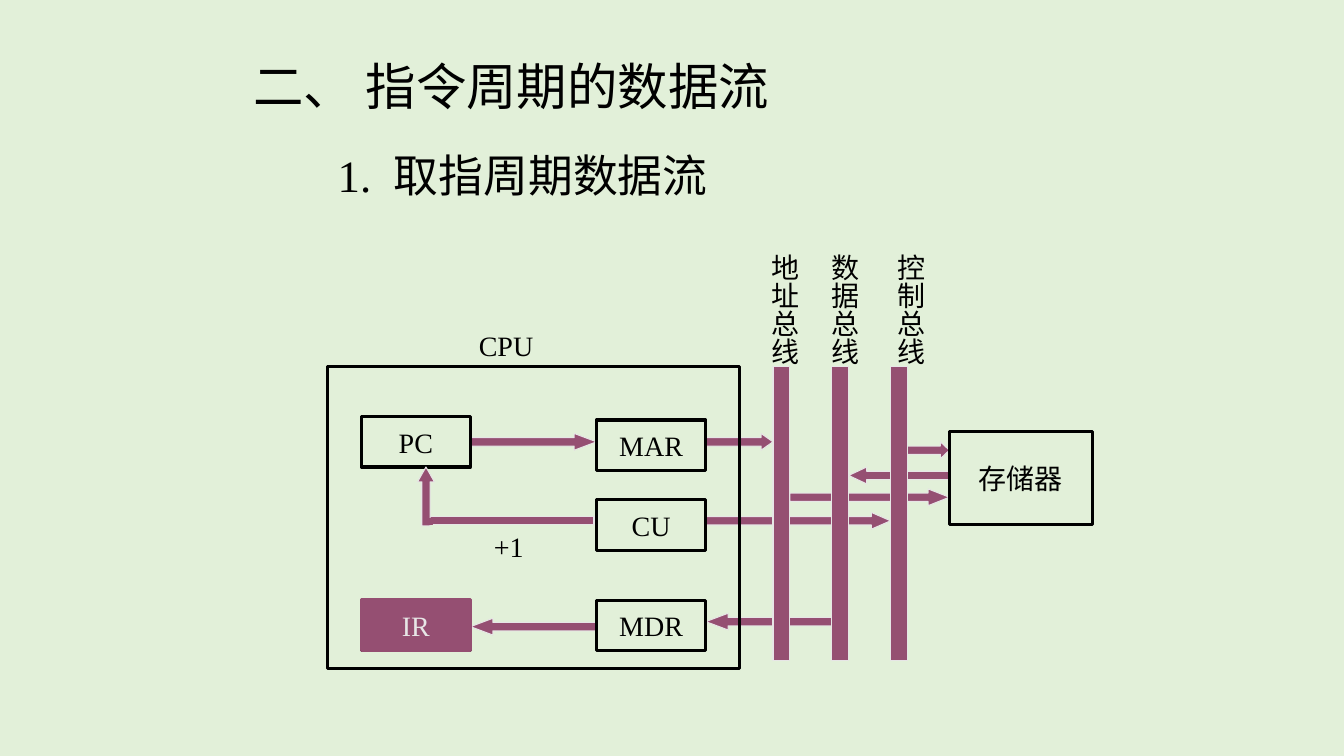
"""Builds the slide on the data flow of the fetch cycle, on a grid of 160 by 90 units."""
from pptx import Presentation
from pptx import util as u
from pptx.dml.color import RGBColor
from pptx.enum import shapes, text

HUES = {"back": "E2F0D9", "plum": "954F72", "pale": "E7E6E6", "ink": "000000"}
KIND = shapes.MSO_SHAPE

deck = Presentation()
deck.slide_width, deck.slide_height = u.Inches(13.33), u.Inches(7.5)
UNIT = deck.slide_height / 90
page = deck.slides.add_slide(deck.slide_layouts[6])
page.background.fill.solid()
page.background.fill.fore_color.rgb = RGBColor.from_string(HUES["back"])


def draw(kind, spot, fill, edge, width):
    shape = page.shapes.add_shape(kind, *(round(n * UNIT) for n in spot))
    shape.shadow.inherit = False
    if fill:
        shape.fill.solid()
        shape.fill.fore_color.rgb = RGBColor.from_string(HUES[fill])
    else:
        shape.fill.background()
    shape.line.color.rgb = RGBColor.from_string(HUES[edge])
    shape.line.width = u.Pt(width)
    return shape


def write(shape, words, size=20, hue="ink"):
    frame = shape.text_frame
    frame.text = words
    frame.word_wrap = False
    font = frame.paragraphs[0].runs[0].font
    font.name, font.size = "Times New Roman", u.Pt(size)
    font.color.rgb = RGBColor.from_string(HUES[hue])
    return frame


flows = [
    (56, 73.6, 15, 1.33, 180),
    (56, 51.6, 15, 1.33, 0),
    (84, 51.6, 8, 0.71, 0),
    (84, 73, 15, 1.33, 180),
    (84, 61, 22, 1.15, 0),
    (94, 58.2, 19, 1.27, 0),
    (101, 55.6, 12, 1.07, 180),
    (107, 52.6, 6, 0.53, 0),
]
for left, top, width, head, turn in flows:
    arrow = draw(KIND.RIGHT_ARROW, (left, top, width, 2), "plum", "pale", 0.75)
    arrow.adjustments[1] = head
    arrow.rotation = turn

boxes = [
    ("", (39, 43.6, 49, 36), None, "ink"),
    ("PC", (43, 49.6, 13, 6), None, "ink"),
    ("MAR", (71, 50, 13, 6), None, "ink"),
    ("CU", (71, 59.5, 13, 6), None, "ink"),
    ("MDR", (71, 71.5, 13, 6), None, "ink"),
    ("", (43, 71.5, 13, 6), None, "ink"),
    ("IR", (43, 71.4, 13, 6), "plum", "plum"),
    ("存储器", (113, 51.4, 17, 11), None, "ink"),
]
for name, spot, fill, edge in boxes:
    box = draw(KIND.RECTANGLE, spot, fill, edge, 2.25)
    if name:
        frame = write(box, name, hue="pale" if fill else "ink")
        frame.vertical_anchor = text.MSO_ANCHOR.MIDDLE
        frame.paragraphs[0].alignment = text.PP_ALIGN.CENTER

for step in range(3):
    draw(KIND.RECTANGLE, (92 + 7 * step, 43.6, 2, 35), "plum", "pale", 0.75)

draw(KIND.RECTANGLE, (50.7, 61.5, 20, 1), "plum", "pale", 0.75)
rise = draw(KIND.UP_ARROW, (49.7, 55.6, 2, 7), "plum", "pale", 0.75)
rise.adjustments[1] = 0.88
draw(KIND.RECTANGLE, (51, 61.7, 0.5, 0.7), "plum", "plum", 0.75)

notes = [
    ("二、 指令周期的数据流", (29, 6, 75, 8.4), 36, False),
    ("1.  取指周期数据流", (39, 17, 75, 7.6), 32, False),
    ("CPU", (55.8, 38.5, 9.2, 5.2), 20, False),
    ("+1", (57.6, 62.4, 21, 5.2), 20, False),
    ("地址总线", (89.5, 29, 6.5, 14.5), 20, True),
    ("数据总线", (96.6, 29, 6.5, 14.5), 20, True),
    ("控制总线", (104.5, 29, 6.5, 14.5), 20, True),
]
for words, spot, size, tall in notes:
    note = page.shapes.add_textbox(*(round(n * UNIT) for n in spot))
    frame = write(note, words, size)
    frame.word_wrap = not tall
    if tall:
        frame._txBody.bodyPr.set("vert", "eaVert")

deck.save("out.pptx")
